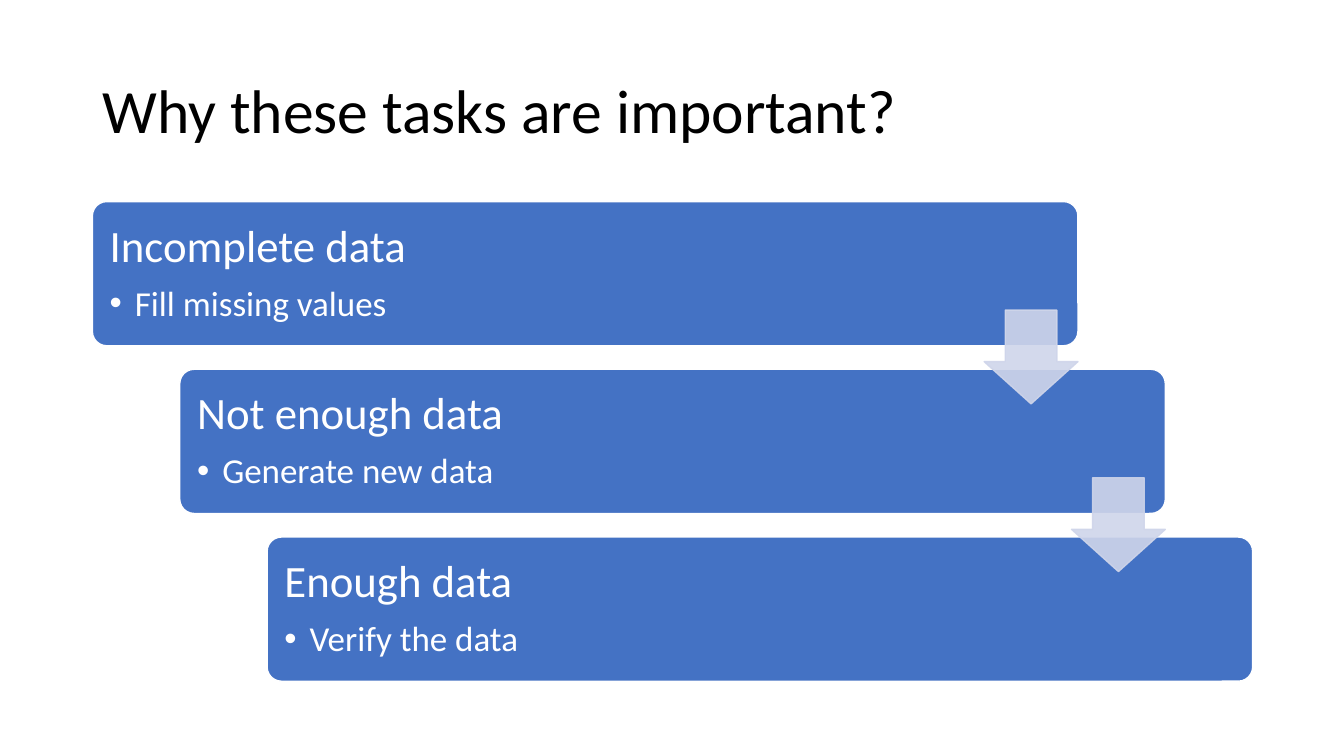
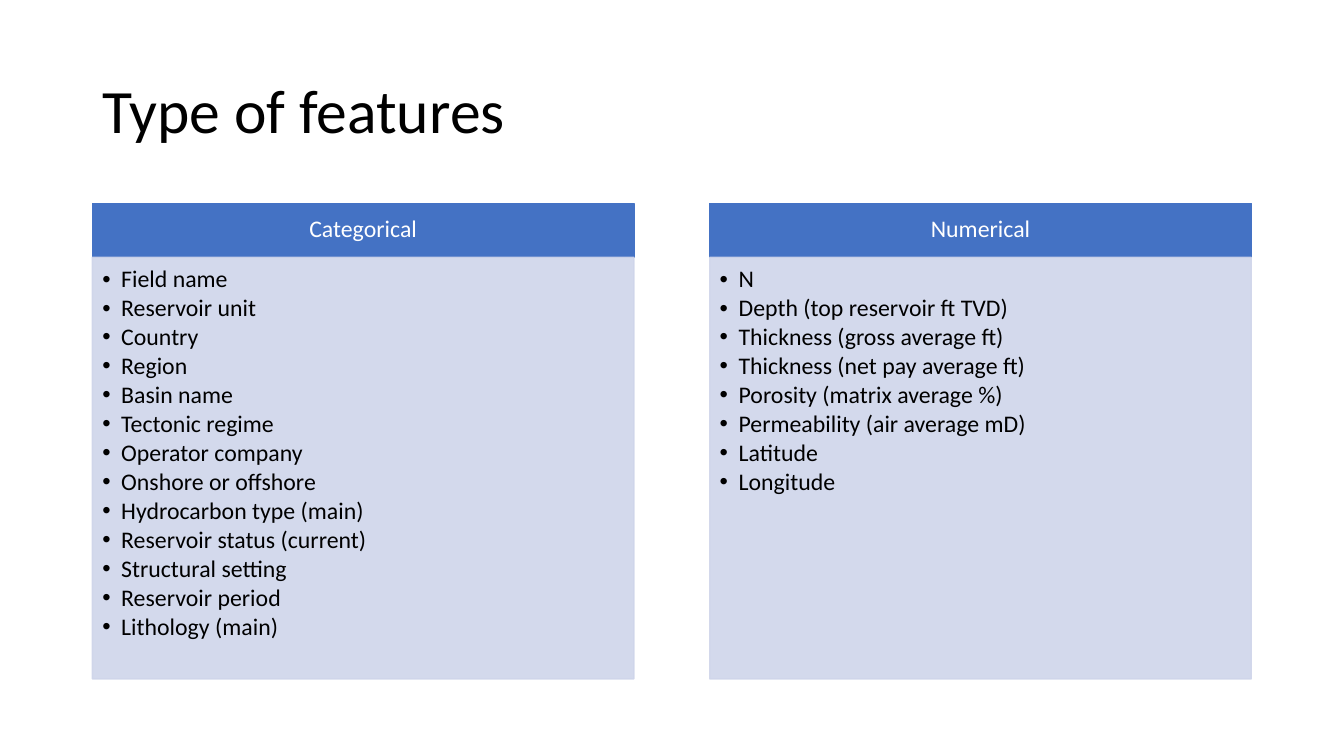
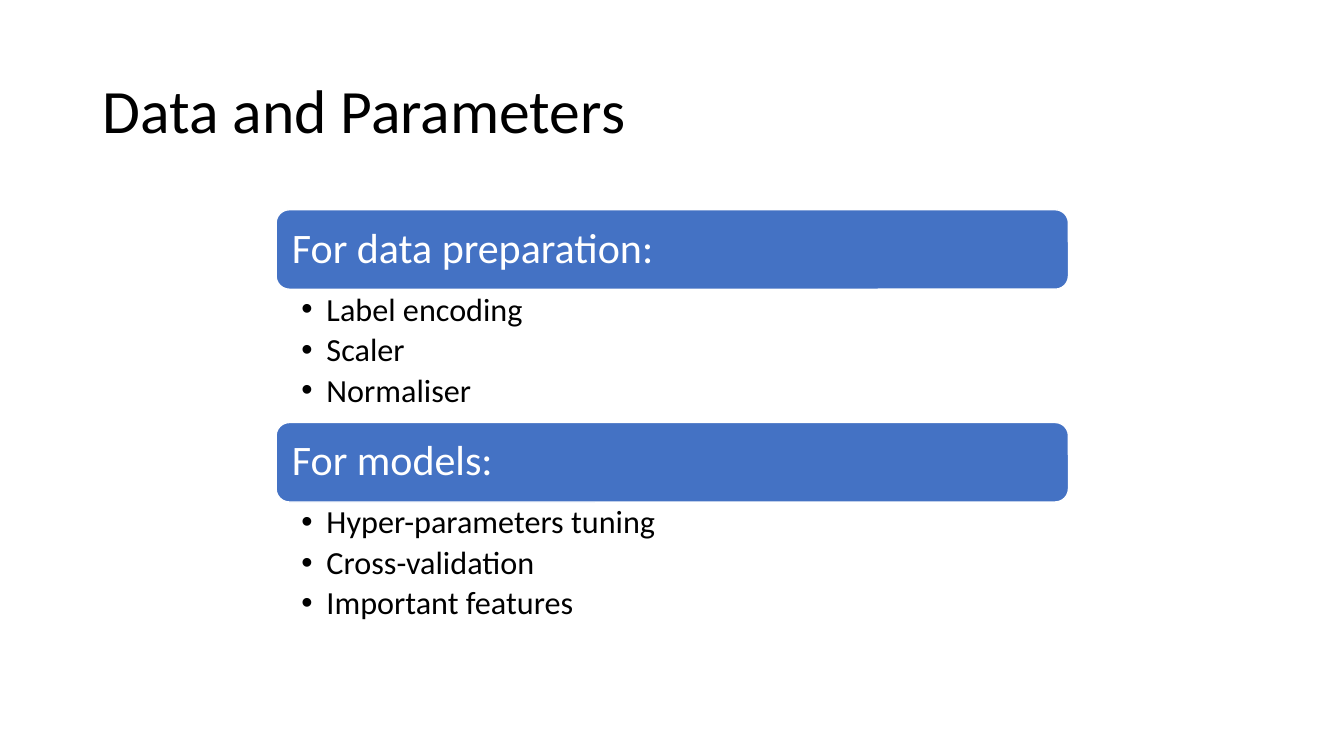
from lxml.etree import SubElement
from pptx import Presentation
from pptx.dml.color import RGBColor
from pptx.enum.shapes import MSO_SHAPE
from pptx.enum.text import MSO_ANCHOR, MSO_AUTO_SIZE, PP_ALIGN
from pptx.oxml.ns import qn
from pptx.util import Pt

# Shared style
FONT = "Calibri"
BLUE, PALE, WHITE, BLACK = "4472C4", "CFD5EA", "FFFFFF", "000000"
PALE_OPACITY = 90
LINE_SPACING = 0.9
LEFT = 66
TITLE_LAYOUT = 5

# Slide content
STEPS = [
    ("Incomplete data", "Fill missing values"),
    ("Not enough data", "Generate new data"),
    ("Enough data", "Verify the data"),
]
FEATURES = [
    ("Categorical", [
        "Field name", "Reservoir unit", "Country", "Region", "Basin name",
        "Tectonic regime", "Operator company", "Onshore or offshore",
        "Hydrocarbon type (main)", "Reservoir status (current)",
        "Structural setting", "Reservoir period", "Lithology (main)",
    ]),
    ("Numerical", [
        "N", "Depth (top reservoir ft TVD)", "Thickness (gross average ft)",
        "Thickness (net pay average ft)", "Porosity (matrix average %)",
        "Permeability (air average mD)", "Latitude", "Longitude",
    ]),
]
PARAMETERS = [
    ("For data preparation:", ["Label encoding", "Scaler", "Normaliser"]),
    ("For models:",
     ["Нyper-parameters tuning", "Cross-validation", "Important features"]),
]


def rgb(color):
    return RGBColor.from_string(color)


# Text
def set_frame(shape, insets, anchor):
    frame = shape.text_frame
    frame.word_wrap = True
    frame.auto_size = MSO_AUTO_SIZE.NONE
    frame.vertical_anchor = anchor
    left, top, right, bottom = insets
    frame.margin_left, frame.margin_top = Pt(left), Pt(top)
    frame.margin_right, frame.margin_bottom = Pt(right), Pt(bottom)
    return frame


def add_bullet(paragraph, indent):
    properties = paragraph._p.get_or_add_pPr()
    properties.set("marL", str(Pt(indent)))
    properties.set("indent", str(-Pt(indent)))
    SubElement(properties, qn("a:buFont")).set("typeface", "Arial")
    SubElement(properties, qn("a:buChar")).set("char", "•")


def write(paragraph, text, size, color, gap=0, indent=0, align=PP_ALIGN.LEFT):
    """Fill a paragraph; gap is the space after as a share of the line."""
    paragraph.text = text
    if indent:
        add_bullet(paragraph, indent)
    paragraph.alignment = align
    paragraph.line_spacing = LINE_SPACING
    paragraph.space_before = Pt(0)
    paragraph.space_after = Pt(round(size * gap * LINE_SPACING, 1))
    for run in paragraph.runs:
        run.font.name = FONT
        run.font.size = Pt(size)
        run.font.color.rgb = rgb(color)


def write_list(frame, items, size, gap, indent):
    for number, item in enumerate(items):
        paragraph = frame.add_paragraph() if number else frame.paragraphs[0]
        write(paragraph, item, size, BLACK, gap, indent)


# Shapes
def add_box(slide, kind, place, fill, line, opacity=100):
    shape = slide.shapes.add_shape(kind, *map(Pt, place))
    shape.shadow.inherit = False
    shape.fill.solid()
    shape.fill.fore_color.rgb = rgb(fill)
    shape.line.color.rgb = rgb(line)
    shape.line.width = Pt(1)
    if opacity < 100:
        for color in shape._element.spPr.iter(qn("a:srgbClr")):
            SubElement(color, qn("a:alpha")).set("val", str(opacity * 1000))
    return shape


def add_titled_slide(presentation, text):
    layout = presentation.slide_layouts[TITLE_LAYOUT]
    slide = presentation.slides.add_slide(layout)
    title = slide.shapes.title
    title.left, title.top = Pt(LEFT), Pt(28.75)
    title.width, title.height = Pt(828), Pt(104.4)
    frame = set_frame(title, (7.2, 3.6, 7.2, 3.6), MSO_ANCHOR.MIDDLE)
    write(frame.paragraphs[0], text, 44, BLACK)
    return slide


# Slides
def build_steps(slide):
    top, width, height = 144, 704, 103
    step_x, step_y, arrow_size = 62.4, 119.8, 67
    for number, (heading, detail) in enumerate(STEPS):
        place = (LEFT + number * step_x, top + number * step_y, width, height)
        box = add_box(slide, MSO_SHAPE.ROUNDED_RECTANGLE, place, BLUE, WHITE)
        box.adjustments[0] = 0.1
        frame = set_frame(box, (9.4,) * 4, MSO_ANCHOR.MIDDLE)
        write(frame.paragraphs[0], heading, 32, WHITE, 0.35)
        write(frame.add_paragraph(), detail, 25, WHITE, 0.15, 18)
    for number in range(len(STEPS) - 1):
        place = (LEFT + width - arrow_size + number * step_x,
                 top + 77.5 + number * step_y, arrow_size, arrow_size)
        arrow = add_box(slide, MSO_SHAPE.DOWN_ARROW, place, PALE, PALE,
                        PALE_OPACITY)
        arrow.adjustments[0] = 0.55
        arrow.adjustments[1] = 0.45


def build_features(slide):
    top, width, gap = 145.2, 386.8, 54.2
    header_height, panel_height = 38.6, 301.2
    for number, (heading, items) in enumerate(FEATURES):
        left = LEFT + number * (width + gap)
        header = add_box(slide, MSO_SHAPE.RECTANGLE,
                         (left, top, width, header_height), BLUE, BLUE)
        frame = set_frame(header, (9.4, 5.5, 9.4, 5.5), MSO_ANCHOR.MIDDLE)
        write(frame.paragraphs[0], heading, 17, WHITE, 0.35,
              align=PP_ALIGN.CENTER)
        panel = add_box(slide, MSO_SHAPE.RECTANGLE,
                        (left, top + header_height, width, panel_height),
                        PALE, PALE, PALE_OPACITY)
        frame = set_frame(panel, (7.2, 7.2, 9.4, 10.8), MSO_ANCHOR.TOP)
        write_list(frame, items, 17, 0.15, 13.5)


def build_parameters(slide):
    left, top, width = 197.2, 149.8, 566
    bar_height, list_height = 56.8, 95.2
    for number, (heading, items) in enumerate(PARAMETERS):
        bar_top = top + number * (bar_height + list_height)
        bar = add_box(slide, MSO_SHAPE.ROUNDED_RECTANGLE,
                      (left, bar_top, width, bar_height), BLUE, WHITE)
        frame = set_frame(bar, (8.6,) * 4, MSO_ANCHOR.MIDDLE)
        write(frame.paragraphs[0], heading, 30, WHITE, 0.35)
        place = (left, bar_top + bar_height, width, list_height)
        box = slide.shapes.add_textbox(*map(Pt, place))
        frame = set_frame(box, (18, 2.9, 16.6, 2.9), MSO_ANCHOR.TOP)
        write_list(frame, items, 23, 0.2, 18)


def main():
    presentation = Presentation()
    presentation.slide_width, presentation.slide_height = Pt(960), Pt(540)
    build_steps(add_titled_slide(presentation, "Why these tasks are important?"))
    build_features(add_titled_slide(presentation, "Type of features"))
    build_parameters(add_titled_slide(presentation, "Data and Parameters"))
    presentation.save("out.pptx")


if __name__ == "__main__":
    main()
